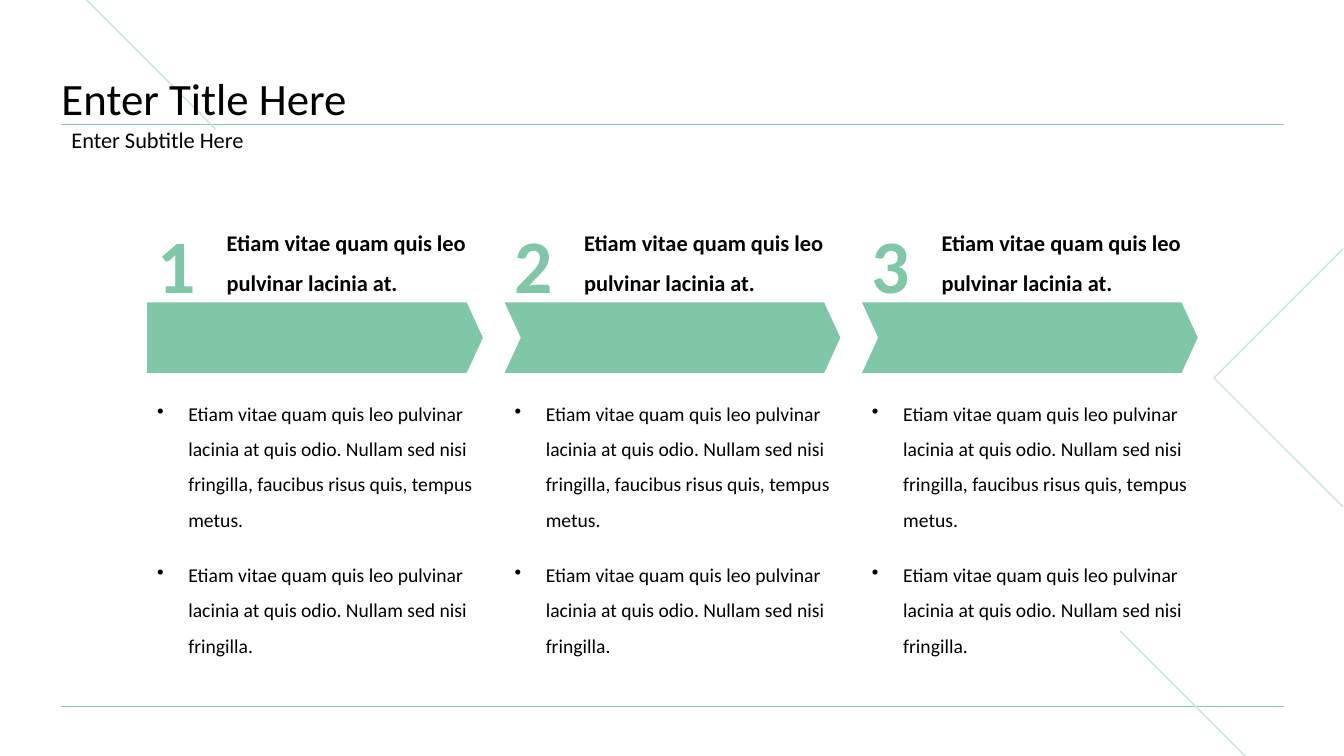
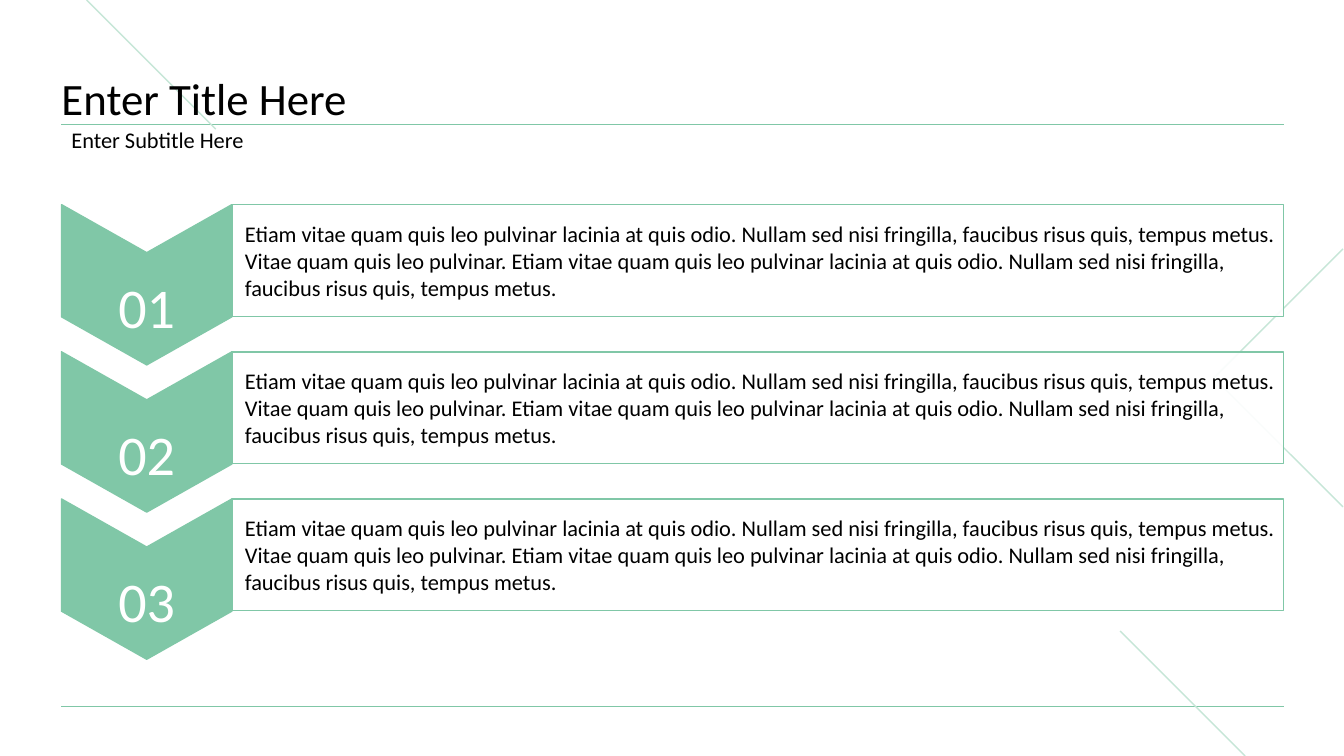
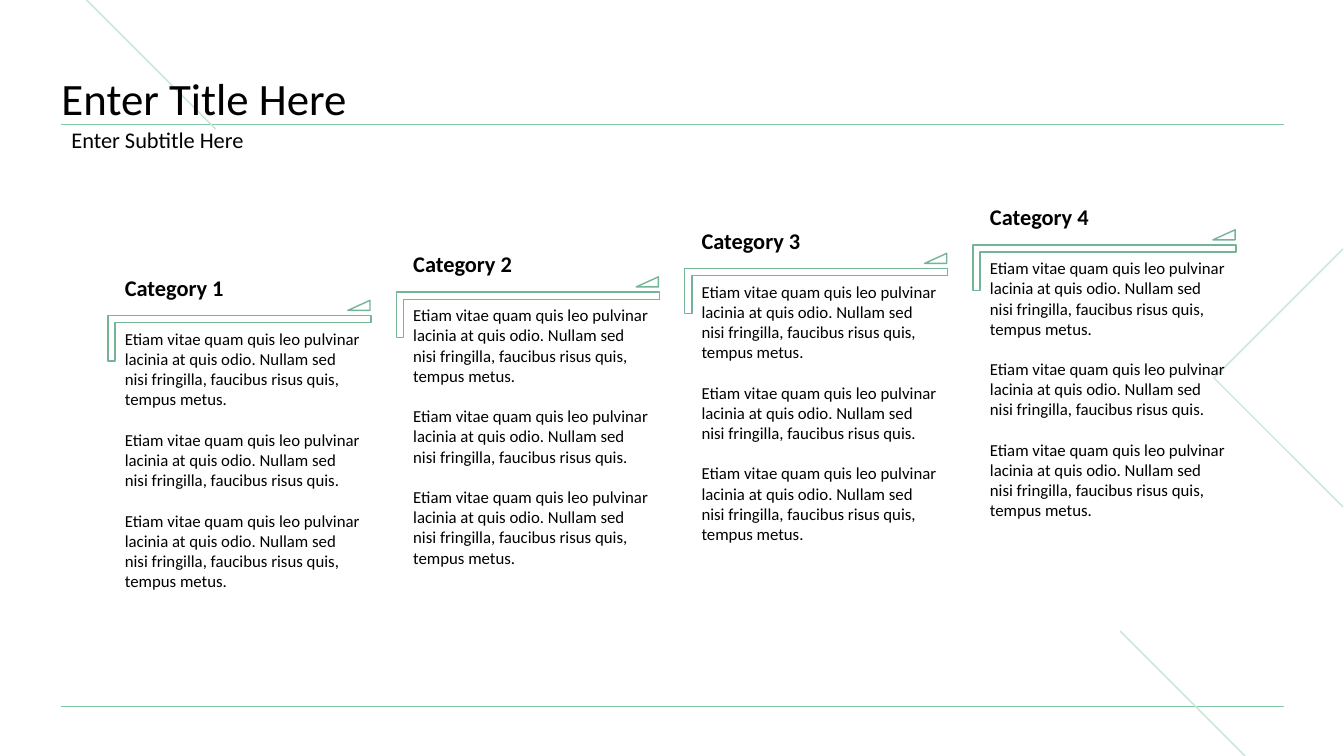
"""Build three process slides that share one title, rule and line-art frame."""
from dataclasses import dataclass

from lxml import etree
from pptx import Presentation
from pptx.dml.color import RGBColor
from pptx.enum.shapes import MSO_CONNECTOR, MSO_SHAPE
from pptx.enum.text import MSO_ANCHOR, MSO_AUTO_SIZE, PP_ALIGN
from pptx.oxml.ns import qn
from pptx.presentation import Presentation as Deck
from pptx.shapes.autoshape import Shape
from pptx.slide import Slide
from pptx.text.text import TextFrame
from pptx.util import Inches, Pt

GREEN = RGBColor(0x80, 0xC7, 0xA7)
PALE_GREEN = RGBColor(0xC6, 0xE6, 0xD7)
DEEP_GREEN = RGBColor(0x74, 0xB5, 0x98)
BLACK = RGBColor(0, 0, 0)
WHITE = RGBColor(0xFF, 0xFF, 0xFF)
FONT = "Calibri"

STRAIGHT = MSO_CONNECTOR.STRAIGHT
PENTAGON = MSO_SHAPE.PENTAGON
CHEVRON = MSO_SHAPE.CHEVRON
RECTANGLE = MSO_SHAPE.RECTANGLE
CORNER = MSO_SHAPE.CORNER
TRIANGLE = MSO_SHAPE.ISOSCELES_TRIANGLE
TOP, MIDDLE, BOTTOM = MSO_ANCHOR.TOP, MSO_ANCHOR.MIDDLE, MSO_ANCHOR.BOTTOM
LEFT, CENTER = PP_ALIGN.LEFT, PP_ALIGN.CENTER
GROW = MSO_AUTO_SIZE.SHAPE_TO_FIT_TEXT

MARGIN_LEFT, MARGIN_RIGHT = 0.61, 12.73
CONTENT_WIDTH = MARGIN_RIGHT - MARGIN_LEFT
TITLE_RULE, FOOTER_RULE = 1.23, 7.01

HEADING = "Etiam vitae quam quis leo pulvinar lacinia at."
SENTENCE = "Etiam vitae quam quis leo pulvinar lacinia at quis odio."
LONG_TEXT = f"{SENTENCE} Nullam sed nisi fringilla, faucibus risus quis, tempus metus."
MEDIUM_TEXT = f"{SENTENCE} Nullam sed nisi fringilla, faucibus risus quis."
SHORT_TEXT = f"{SENTENCE} Nullam sed nisi fringilla."
ROW_TEXT = f"{LONG_TEXT} Vitae quam quis leo pulvinar. {LONG_TEXT}"


@dataclass(frozen=True)
class Box:
    """Place and size in inches."""
    left: float
    top: float
    width: float
    height: float

    def lengths(self) -> tuple[Inches, Inches, Inches, Inches]:
        """Return the four lengths in the order that shapes take them."""
        return Inches(self.left), Inches(self.top), Inches(self.width), Inches(self.height)


@dataclass(frozen=True)
class Style:
    """Look of the paragraphs in one frame."""
    size: float
    color: RGBColor = BLACK
    bold: bool = False
    spacing: float = 1.0
    align: PP_ALIGN = LEFT
    bullet: bool = False
    gap: float = 0


@dataclass(frozen=True)
class Stroke:
    """A thin straight line."""
    x1: float
    y1: float
    x2: float
    y2: float
    color: RGBColor
    weight: float


TITLE = Style(32, spacing=0.9)
SUBTITLE = Style(16, spacing=0.9)
STEP_NUMBER = Style(54, GREEN, bold=True, spacing=1.5)
STEP_HEADING = Style(16, bold=True, spacing=1.5)
STEP_BULLET = Style(14, spacing=1.5, bullet=True)
ROW_NUMBER = Style(40, WHITE, spacing=1.5, align=CENTER)
ROW_BODY = Style(16)
CATEGORY_NAME = Style(16, bold=True)
CATEGORY_BODY = Style(12, gap=14.5)

STROKES = (
    Stroke(MARGIN_LEFT, FOOTER_RULE, MARGIN_RIGHT, FOOTER_RULE, GREEN, 0.5),
    Stroke(MARGIN_LEFT, TITLE_RULE, MARGIN_RIGHT, TITLE_RULE, GREEN, 0.5),
    Stroke(11.11, 6.26, 12.35, 7.5, PALE_GREEN, 1),
    Stroke(0.86, 0, 2.14, 1.28, PALE_GREEN, 1),
)
EDGE_ANGLE = ((13.32, 2.47), (12.04, 3.75), (13.32, 5.03))


def write(frame: TextFrame, texts: tuple[str, ...], style: Style) -> None:
    """Fill a frame with one paragraph per text."""
    frame.word_wrap = True
    for index, text in enumerate(texts):
        para = frame.add_paragraph() if index else frame.paragraphs[0]
        para.text = text
        para.alignment = style.align
        para.line_spacing = style.spacing
        if index and style.gap:
            para.space_before = Pt(style.gap)
        if style.bullet:
            props = para._p.get_or_add_pPr()
            props.set("marL", str(Inches(0.31)))
            props.set("indent", str(Inches(-0.31)))
            etree.SubElement(props, qn("a:buChar")).set("char", "•")
        para.font.name = FONT
        para.font.size = Pt(style.size)
        para.font.bold = style.bold
        para.font.color.rgb = style.color


def add_text(page: Slide, box: Box, style: Style, *texts: str,
             anchor: MSO_ANCHOR = TOP, grow: bool = True) -> TextFrame:
    """Add a text box and return its frame."""
    frame = page.shapes.add_textbox(*box.lengths()).text_frame
    frame.vertical_anchor = anchor
    if grow:
        frame.auto_size = GROW
    write(frame, texts, style)
    return frame


def set_margins(frame: TextFrame, left: float, other: float) -> None:
    """Set the left margin and one value for the other three, in inches."""
    frame.margin_left = Inches(left)
    frame.margin_top = frame.margin_right = frame.margin_bottom = Inches(other)


def add_figure(page: Slide, kind: MSO_SHAPE, box: Box, fill: RGBColor,
               outline: RGBColor | None = None,
               adjustments: tuple[float, ...] = ()) -> Shape:
    """Add a flat preset shape."""
    shape = page.shapes.add_shape(kind, *box.lengths())
    shape.shadow.inherit = False
    shape.fill.solid()
    shape.fill.fore_color.rgb = fill
    if outline is None:
        shape.line.fill.background()
    else:
        shape.line.color.rgb = outline
        shape.line.width = Pt(1)
    for index, value in enumerate(adjustments):
        shape.adjustments[index] = value
    return shape


def add_stroke(page: Slide, stroke: Stroke) -> None:
    """Add a straight line without a shadow."""
    line = page.shapes.add_connector(
        STRAIGHT, Inches(stroke.x1), Inches(stroke.y1), Inches(stroke.x2), Inches(stroke.y2))
    line.line.color.rgb = stroke.color
    line.line.width = Pt(stroke.weight)
    etree.SubElement(line._element.spPr, qn("a:effectLst"))


def add_page(deck: Deck) -> Slide:
    """Add a blank slide with the shared line art, title and subtitle."""
    page = deck.slides.add_slide(deck.slide_layouts[6])
    for stroke in STROKES:
        add_stroke(page, stroke)
    start, *rest = [(Inches(x), Inches(y)) for x, y in EDGE_ANGLE]
    builder = page.shapes.build_freeform(*start)
    builder.add_line_segments(rest, close=False)
    angle = builder.convert_to_shape()
    angle.shadow.inherit = False
    angle.fill.background()
    angle.line.color.rgb = PALE_GREEN
    angle.line.width = Pt(1)
    title = add_text(page, Box(MARGIN_LEFT, 0.44, CONTENT_WIDTH, 0.8), TITLE,
                     "Enter Title Here", anchor=BOTTOM, grow=False)
    set_margins(title, 0, 0)
    add_text(page, Box(MARGIN_LEFT, TITLE_RULE, CONTENT_WIDTH, 0.34), SUBTITLE,
             "Enter Subtitle Here", anchor=MIDDLE)
    return page


def add_step(page: Slide, index: int) -> None:
    """Add one numbered arrow with its heading and bullets."""
    width = 3.33
    left = 1.46 + index * 7.09 / 2
    add_text(page, Box(left, 1.73, 0.69, 1.32), STEP_NUMBER, str(index + 1), anchor=MIDDLE)
    add_text(page, Box(left + 0.69, 2.09, 2.63, 0.87), STEP_HEADING, HEADING)
    add_figure(page, CHEVRON if index else PENTAGON, Box(left, 3, width, 0.7), GREEN,
               adjustments=(0.23,))
    add_text(page, Box(left, 3.82, width, 1.48), STEP_BULLET, LONG_TEXT)
    add_text(page, Box(left, 5.42, width, 1.12), STEP_BULLET, SHORT_TEXT)


def add_row(page: Slide, index: int) -> None:
    """Add one downward chevron with its framed text."""
    top = 2.03 + index * 1.46
    text_left = 2.3
    chevron = add_figure(page, CHEVRON, Box(0.66, top - 0.05, 1.59, 1.69), GREEN, GREEN, (0.3,))
    chevron.rotation = 90
    panel = add_figure(page, RECTANGLE, Box(text_left, top, MARGIN_RIGHT - text_left, 1.11),
                       WHITE, GREEN)
    color = panel._element.spPr.find(qn("a:solidFill"))[0]
    etree.SubElement(color, qn("a:alpha")).set("val", "90000")
    panel.text_frame.vertical_anchor = MIDDLE
    set_margins(panel.text_frame, 0.13, 0.04)
    write(panel.text_frame, (ROW_TEXT,), ROW_BODY)
    add_text(page, Box(MARGIN_LEFT, top + 0.29, 1.69, 1.01), ROW_NUMBER, f"{index + 1:02d}")


def add_category(page: Slide, index: int) -> None:
    """Add one stair of the rising row of categories."""
    left = 1.07 + index * 2.86
    top = 3.13 - index * 0.7 / 3
    corner = add_figure(page, CORNER, Box(left, top, 2.61, 0.45), WHITE, DEEP_GREEN, (0.16, 0.16))
    corner._element.spPr.find(qn("a:xfrm")).set("flipV", "1")
    add_text(page, Box(left + 0.07, top - 0.46, 2.52, 0.37), CATEGORY_NAME,
             f"Category {index + 1}")
    add_text(page, Box(left + 0.07, top + 0.08, 2.54, 3.06), CATEGORY_BODY,
             LONG_TEXT, MEDIUM_TEXT, LONG_TEXT, grow=False)
    add_figure(page, TRIANGLE, Box(left + 2.38, top - 0.15, 0.22, 0.1), WHITE, DEEP_GREEN, (1,))


def main() -> None:
    """Build and save the deck."""
    deck = Presentation()
    deck.slide_width, deck.slide_height = Inches(13.33), Inches(7.5)
    for add_item, count in ((add_step, 3), (add_row, 3), (add_category, 4)):
        page = add_page(deck)
        for index in range(count):
            add_item(page, index)
    deck.save("out.pptx")


if __name__ == "__main__":
    main()
